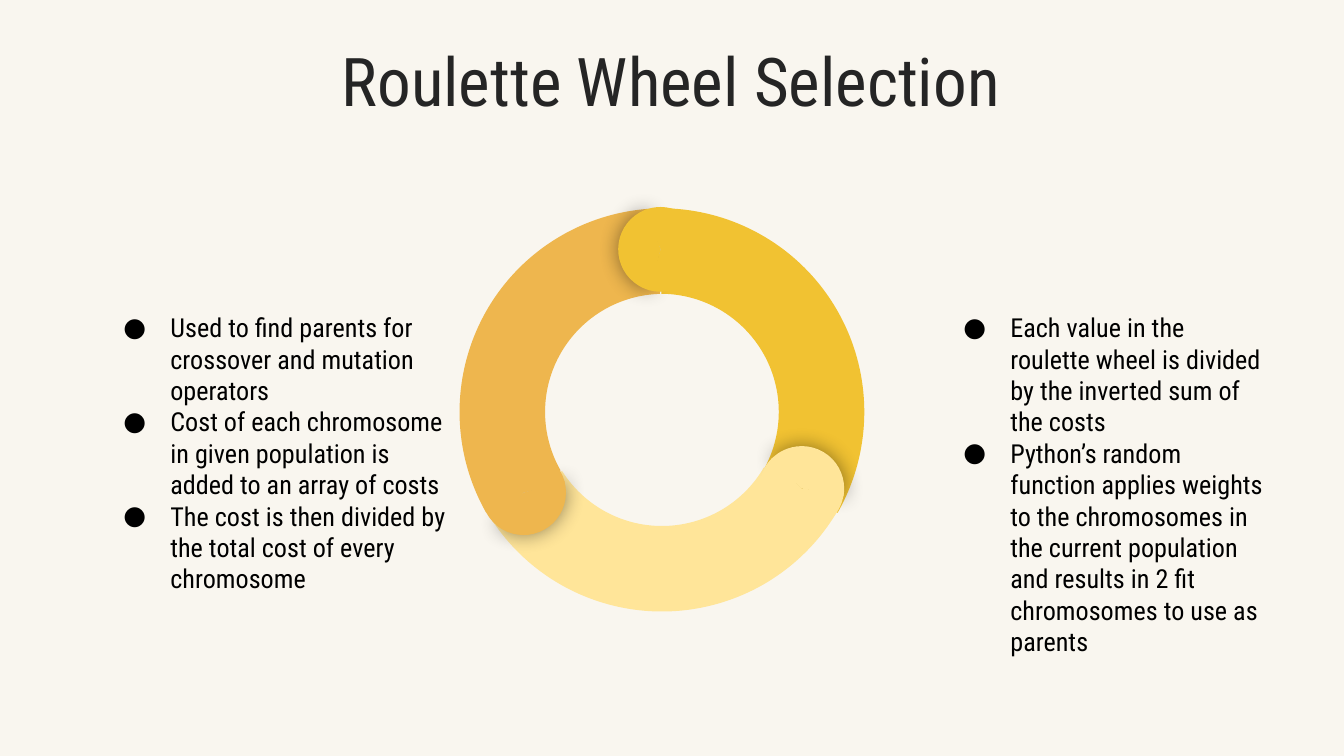
from dataclasses import dataclass

from lxml import etree
from pptx import Presentation
from pptx.dml.color import RGBColor
from pptx.enum.shapes import MSO_SHAPE
from pptx.enum.text import MSO_ANCHOR, PP_ALIGN
from pptx.oxml.ns import qn
from pptx.util import Pt

ARC, PIE = MSO_SHAPE.BLOCK_ARC, MSO_SHAPE.PIE
TOP, MIDDLE = MSO_ANCHOR.TOP, MSO_ANCHOR.MIDDLE
LEFT, CENTER = PP_ALIGN.LEFT, PP_ALIGN.CENTER


@dataclass(frozen=True)
class Theme:
    font: str = "Roboto Condensed"
    back: str = "F9F6EF"
    title: str = "252525"
    body: str = "000000"
    gold: str = "F1C232"
    cream: str = "FFE599"
    amber: str = "EEB64E"
    title_size: int = 36
    body_size: int = 14


THEME = Theme()
RING = 218.2
CAP = 45.4

# colour, turn, arc corner, arc end and thickness adjustments
ARCS = [
    (THEME.gold, 60, (244.8, 111.6), 197.82, 0.21),
    (THEME.cream, 180, (245.5, 109.4), 196.63, 0.21),
    (THEME.amber, 300, (246.2, 111.6), 197.03, 0.21),
]
# colour, turn, cap corner
CAPS = [
    (THEME.amber, 60, (257.8, 241.2)),
    (THEME.gold, 180, (331.2, 110.9)),
    (THEME.cream, 300, (406.8, 239)),
]
LEFT_POINTS = [
    "Used to find parents for crossover and mutation operators",
    "Cost of each chromosome in given population is added to an array of costs",
    "The cost is then divided by the total cost of every chromosome",
]
RIGHT_POINTS = [
    "Each value in the roulette wheel is divided by the inverted sum of the costs",
    "Python’s random function applies weights to the chromosomes in the current "
    "population and results in 2 fit chromosomes to use as parents",
]


def rgb(code):
    return RGBColor.from_string(code)


def add_part(group, kind, spot, size, turn, color, adjust):
    """Add one turned, flat piece of the wheel."""
    part = group.shapes.add_shape(kind, Pt(spot[0]), Pt(spot[1]), Pt(size), Pt(size))
    part.rotation = turn % 360
    for i, value in enumerate(adjust):
        part.adjustments[i] = value
    part.fill.solid()
    part.fill.fore_color.rgb = rgb(color)
    part.line.fill.background()
    part.shadow.inherit = False
    return part


def add_glow(part):
    """Give a part a soft, centred shadow."""
    effects = part._element.spPr.find(qn("a:effectLst"))
    outer = etree.SubElement(effects, qn("a:outerShdw"), blurRad=str(Pt(11.2)),
                             dist="0", dir="0", algn="ctr", rotWithShape="0")
    color = etree.SubElement(outer, qn("a:srgbClr"), val=THEME.body)
    etree.SubElement(color, qn("a:alpha"), val="43000")


def add_wheel(slide):
    group = slide.shapes.add_group_shape()
    for color, turn, spot, end, thick in ARCS:
        add_part(group, ARC, spot, RING, turn, color, (126.22, end, thick))
    for color, turn, spot in CAPS:
        front = add_part(group, PIE, spot, CAP, turn + 180.7, color, (61.9, 149.96))
        add_glow(front)
        add_part(group, PIE, spot, CAP, turn, color, (40.28, 171.84))


def add_bullet(para):
    props = para._p.get_or_add_pPr()
    props.set("marL", str(Pt(36)))
    props.set("indent", str(-Pt(25.2)))
    color = etree.SubElement(props, qn("a:buClr"))
    etree.SubElement(color, qn("a:srgbClr"), val=THEME.body)
    etree.SubElement(props, qn("a:buFont"), typeface=THEME.font)
    etree.SubElement(props, qn("a:buChar"), char="●")


def add_text(slide, box, lines, size, color, align=LEFT, anchor=TOP, bullet=False):
    frame = slide.shapes.add_textbox(*(Pt(n) for n in box)).text_frame
    frame.word_wrap = True
    frame.vertical_anchor = anchor
    frame.margin_left = frame.margin_right = Pt(7.2)
    frame.margin_top = frame.margin_bottom = Pt(7.2)
    for i, line in enumerate(lines):
        para = frame.add_paragraph() if i else frame.paragraphs[0]
        para.alignment = align
        if bullet:
            add_bullet(para)
        run = para.add_run()
        run.text = line
        run.font.name = THEME.font
        run.font.size = Pt(size)
        run.font.color.rgb = rgb(color)


def main():
    deck = Presentation()
    deck.slide_width, deck.slide_height = Pt(720), Pt(405)
    slide = deck.slides.add_slide(deck.slide_layouts[6])
    slide.background.fill.solid()
    slide.background.fill.fore_color.rgb = rgb(THEME.back)

    add_text(slide, (26.6, 20.2, 666, 45.4), ["Roulette Wheel Selection"],
             THEME.title_size, THEME.title, CENTER, MIDDLE)
    add_wheel(slide)
    for box, points in (((48.2, 159.8, 198, 162), LEFT_POINTS),
                        ((498.2, 159.8, 185.8, 139), RIGHT_POINTS)):
        add_text(slide, box, points, THEME.body_size, THEME.body, bullet=True)
    deck.save("out.pptx")


if __name__ == "__main__":
    main()
